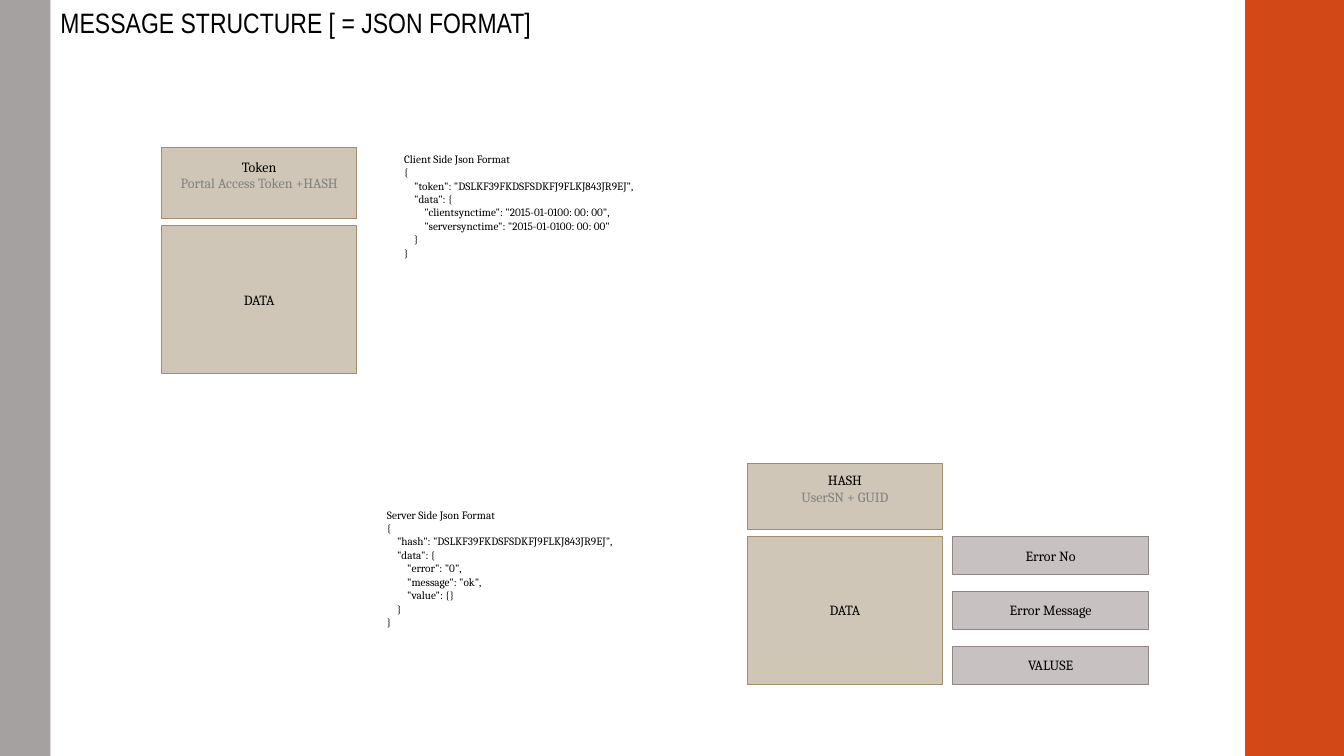
"""Build the message structure slide with its client and server JSON formats."""
from pptx import Presentation, util as u
from pptx.dml.color import RGBColor
from pptx.enum import shapes, text


def paint(fill, colour):
    fill.solid()
    fill.fore_color.rgb = RGBColor.from_string(colour)


def write(frame, lines, align, **formats):
    for number, (words, colour, level) in enumerate(lines):
        para = frame.paragraphs[0] if number == 0 else frame.add_paragraph()
        para.alignment = align
        if level:
            para._p.get_or_add_pPr().set("marL", str(u.Inches(level * 0.1)))
        span = para.add_run()
        span.text = words
        for name, value in formats.items():
            setattr(span.font, name, value)
        paint(span.font.fill, colour)


BLACK, GREY = "000000", "808080"
TAN, MAUVE = ("D0C6B7", "A28E6A"), ("C7C1C2", "918485")
LEFT, CENTER = text.PP_ALIGN.LEFT, text.PP_ALIGN.CENTER
BOX_WIDTH = 1.94

deck = Presentation()
deck.slide_width, deck.slide_height = u.Inches(13.33), u.Inches(7.5)
page = deck.slides.add_slide(deck.slide_layouts[5])

title = page.shapes.title
title.left, title.top, title.width, title.height = map(u.Inches, (0.5, 0, 11.85, 0.44))
title.text_frame.vertical_anchor = text.MSO_ANCHOR.TOP
title.text_frame.auto_size = text.MSO_AUTO_SIZE.NONE
write(title.text_frame, [("MESSAGE STRUCTURE [ = JSON FORMAT]", BLACK, 0)], LEFT,
      name="Arial Narrow", size=u.Pt(20))

sidebars = [(12.35, 0, 1, 7.5, ("D34817", None), []),
            (0, 0, 0.5, 7.5, ("A6A1A1", None), [])]
blocks = [(1.6, 1.46, BOX_WIDTH, 0.71, TAN, ["Token", "Portal Access Token +HASH"]),
          (1.6, 2.24, BOX_WIDTH, 1.47, TAN, ["DATA"]),
          (7.41, 4.6, BOX_WIDTH, 0.65, TAN, ["HASH", "UserSN + GUID"]),
          (7.41, 5.32, BOX_WIDTH, 1.47, TAN, ["DATA"])]
fields = [(9.45, 5.32 + row * 0.545, BOX_WIDTH, 0.38, MAUVE, [label])
          for row, label in enumerate(["Error No", "Error Message", "VALUSE"])]

for left, top, width, height, (fill, edge), labels in sidebars + blocks + fields:
    box = page.shapes.add_shape(shapes.MSO_SHAPE.RECTANGLE,
                                *map(u.Inches, (left, top, width, height)))
    box.shadow.inherit = False
    paint(box.fill, fill)
    if edge:
        paint(box.line.fill, edge)
        box.line.width = u.Pt(0.75)
    else:
        box.line.fill.background()
    frame = box.text_frame
    frame.vertical_anchor = text.MSO_ANCHOR.MIDDLE
    if len(labels) == 2:
        frame.margin_bottom = u.Inches(0.21)
    lines = [(label, colour, 0) for label, colour in zip(labels, (BLACK, GREY))]
    write(frame, lines, CENTER, name="Cambria", size=u.Pt(10))

client = [("Client Side Json Format", 0), ("{", 0),
          ('"token": "DSLKF39FKDSFSDKFJ9FLKJ843JR9EJ",', 1),
          ('"data": {', 1),
          ('"clientsynctime": "2015-01-0100: 00: 00",', 2),
          ('"serversynctime": "2015-01-0100: 00: 00"', 2),
          ("}", 1), ("}", 0)]
server = [("Server Side Json Format", 0), ("{", 0),
          ('"hash": "DSLKF39FKDSFSDKFJ9FLKJ843JR9EJ",', 1),
          ('"data": {', 1),
          ('"error": "0",', 2), ('"message": "ok",', 2), ('"value": {}', 2),
          ("}", 1), ("}", 0)]

for left, top, width, height, code in [(3.91, 1.46, 3.1, 1.18, client),
                                       (3.74, 4.99, 3.06, 1.32, server)]:
    box = page.shapes.add_textbox(*map(u.Inches, (left, top, width, height)))
    box.text_frame.word_wrap = True
    lines = [(words, BLACK, level) for words, level in code]
    write(box.text_frame, lines, LEFT, name="Cambria", size=u.Pt(8))

deck.save("out.pptx")
